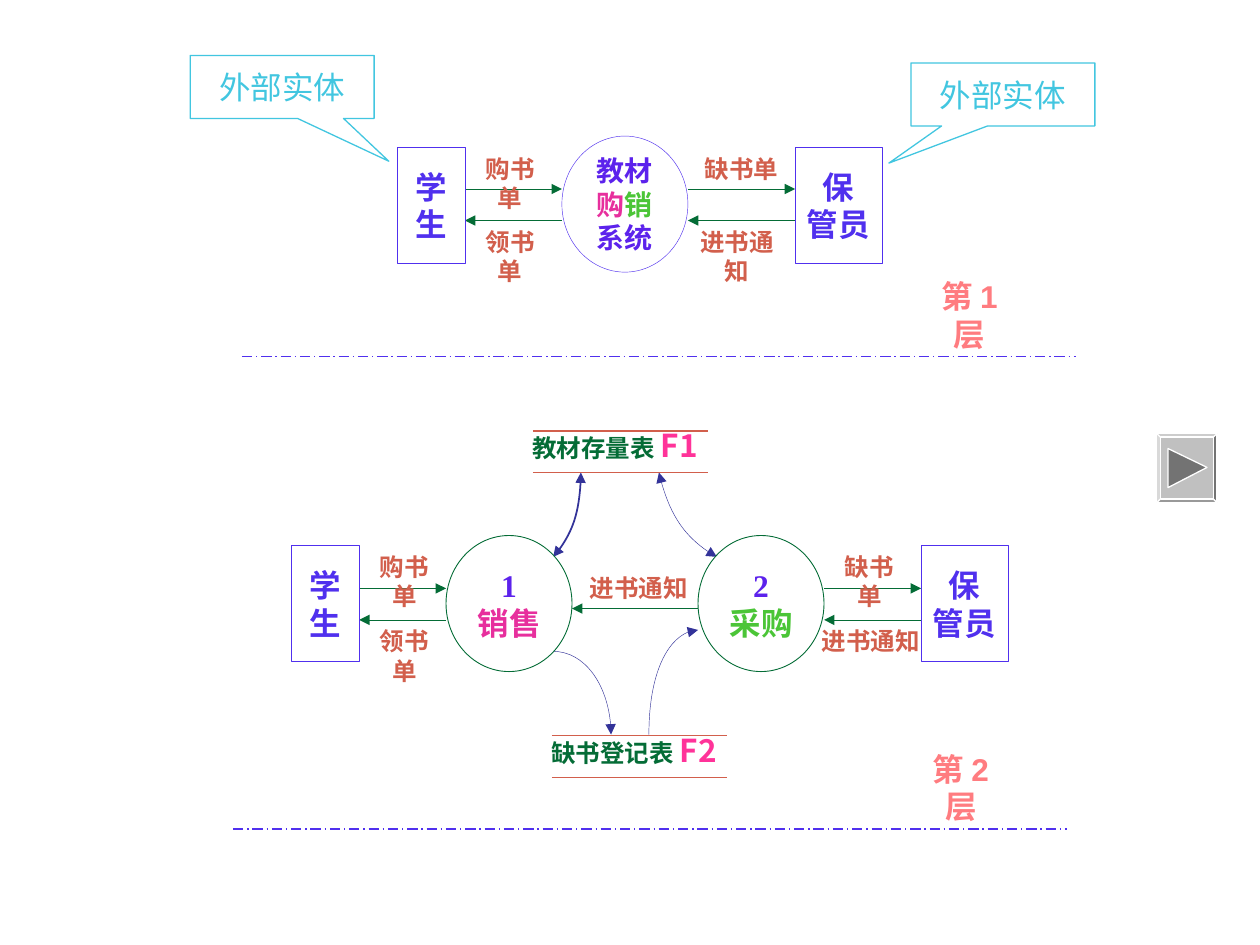
"""Draw the two levels of a textbook trading data-flow diagram."""
from dataclasses import dataclass

from lxml import etree
from pptx import Presentation
from pptx import util as u
from pptx.dml import color as clr
from pptx.enum import dml, shapes as sh, text as tx
from pptx.oxml import ns

SERIF, SANS, ARIAL = "Times New Roman", "Noto Sans CJK SC", "Arial"
WHITE, BLUE, VIOLET, GREEN = "FFFFFF", "5030EE", "5C22EC", "046C36"
PINK, LIME, RUST, NAVY = "E72F9D", "4BC537", "D25F4C", "333399"
CORAL, CYAN, ROSE = "FF7C80", "42C6E0", "FF3399"


@dataclass
class Run:
    text: str
    color: str
    size: float = 18
    font: str = SERIF
    bold: bool = True


@dataclass
class Node:
    kind: sh.MSO_SHAPE
    box: tuple
    line: str
    width: float
    rows: list


@dataclass
class Flow:
    start: float
    end: float
    y: float
    label: str
    left: float
    top: float
    width: float = 0.78
    font: str = SANS
    wrap: bool = False


@dataclass
class Curve:
    points: list
    width: float = 0.25
    head: bool = False
    tail: bool = False


@dataclass
class Store:
    left: float
    top: float
    name: str
    code: str


@dataclass
class Level:
    left: float
    y: float
    digit: str


def rgb(code: str) -> clr.RGBColor:
    return clr.RGBColor.from_string(code)


def paint(shape, fill, line: str, width: float) -> None:
    shape.shadow.inherit = False
    if fill:
        shape.fill.solid()
        shape.fill.fore_color.rgb = rgb(fill)
    else:
        shape.fill.background()
    shape.line.color.rgb = rgb(line)
    shape.line.width = u.Pt(width)


def tip(shape, head: bool = False, tail: bool = False) -> None:
    ln = shape.line._get_or_add_ln()
    for tag, used in (("a:headEnd", head), ("a:tailEnd", tail)):
        if used:
            etree.SubElement(ln, ns.qn(tag), type="triangle")


def write(frame, rows: list, wrap: bool = False) -> None:
    frame.word_wrap = wrap
    for i, row in enumerate(rows):
        para = frame.add_paragraph() if i else frame.paragraphs[0]
        para.alignment = tx.PP_ALIGN.CENTER
        for item in row:
            run = para.add_run()
            run.text = item.text
            run.font.size = u.Pt(item.size)
            run.font.bold = item.bold
            run.font.color.rgb = rgb(item.color)
            run.font.name = item.font
            etree.SubElement(run.font._element, ns.qn("a:ea"), typeface=SANS)


def note(slide, box: tuple, row: list, wrap: bool = False):
    frame = slide.shapes.add_textbox(*map(u.Inches, box)).text_frame
    write(frame, [row], wrap)
    return frame


def rule(slide, ends: tuple, color: str, width: float):
    line = slide.shapes.add_connector(sh.MSO_CONNECTOR.STRAIGHT, *map(u.Inches, ends))
    line.line.color.rgb = rgb(color)
    line.line.width = u.Pt(width)
    etree.SubElement(line._element.spPr, ns.qn("a:effectLst"))
    return line


def outline(slide, points: list, close: bool):
    first, *rest = [(u.Inches(x), u.Inches(y)) for x, y in points]
    pen = slide.shapes.build_freeform(*first)
    pen.add_line_segments(rest, close=close)
    return pen.convert_to_shape()


def draw_curve(slide, curve: Curve) -> None:
    shape = outline(slide, curve.points, False)
    paint(shape, None, NAVY, curve.width)
    tip(shape, curve.head, curve.tail)
    steps = list(shape._element.iter(ns.qn("a:lnTo")))
    bend = etree.SubElement(steps[0].getparent(), ns.qn("a:cubicBezTo"))
    for step in steps:
        bend.append(step[0])
        step.getparent().remove(step)


def draw_flow(slide, flow: Flow) -> None:
    line = rule(slide, (flow.start, flow.y, flow.end, flow.y), GREEN, 0.25)
    tip(line, tail=True)
    note(slide, (flow.left, flow.top, flow.width, 0.34),
         [Run(flow.label, RUST, 14, flow.font)], flow.wrap)


def draw_node(slide, node: Node) -> None:
    shape = slide.shapes.add_shape(node.kind, *map(u.Inches, node.box))
    paint(shape, WHITE, node.line, node.width)
    shape.text_frame.vertical_anchor = tx.MSO_ANCHOR.MIDDLE
    write(shape.text_frame, node.rows)


def draw_store(slide, store: Store) -> None:
    for y in (store.top, store.top + 0.33):
        rule(slide, (store.left, y, store.left + 1.39, y), RUST, 0.75)
    frame = note(slide, (store.left - 0.23, store.top - 0.09, 1.69, 0.64),
                 [Run(store.name + " ", GREEN, 14, SANS), Run(store.code, ROSE, 18, SANS)], True)
    frame.margin_left = u.Inches(0.17)


def draw_level(slide, level: Level) -> None:
    line = rule(slide, (level.left, level.y, level.left + 6.62, level.y), BLUE, 0.75)
    line.line.dash_style = dml.MSO_LINE.LONG_DASH_DOT
    frame = note(slide, (level.left + 5.39, level.y - 0.58, 0.77, 0.5),
                 [Run("第 ", CORAL, font=SANS), Run(level.digit + " ", CORAL, font=ARIAL),
                  Run("层", CORAL, font=SANS)])
    frame.vertical_anchor = tx.MSO_ANCHOR.MIDDLE


def draw_callout(slide, left: float, top: float, tail: tuple) -> None:
    shape = slide.shapes.add_shape(sh.MSO_SHAPE.RECTANGULAR_CALLOUT,
                                   *map(u.Inches, (left, top, 1.46, 0.5)))
    shape.adjustments[0], shape.adjustments[1] = tail
    paint(shape, None, CYAN, 0.75)
    shape.text_frame.vertical_anchor = tx.MSO_ANCHOR.MIDDLE
    write(shape.text_frame, [[Run("外部实体", CYAN, bold=False)]], True)


def draw_button(slide) -> None:
    base = slide.shapes.add_shape(sh.MSO_SHAPE.BEVEL, *map(u.Inches, (9.18, 3.44, 0.48, 0.55)))
    base.adjustments[0] = 0.06
    paint(base, "C0C0C0", WHITE, 0.75)
    paint(outline(slide, [(9.27, 3.56), (9.58, 3.71), (9.27, 3.87)], True), "737373", WHITE, 0.75)


def person(left: float, top: float, width: float, names: tuple) -> Node:
    return Node(sh.MSO_SHAPE.RECTANGLE, (left, top, width, 0.92), BLUE, 0.25,
                [[Run(name, BLUE)] for name in names])


def task(left: float, digit: str, name: str, color: str) -> Node:
    return Node(sh.MSO_SHAPE.OVAL, (left, 4.25, 1, 1.08), GREEN, 0.5,
                [[Run(digit, VIOLET)], [Run(name, color, font=SANS)]])


PUPIL, KEEPER = ("学", "生"), ("保", "管员")
CURVES = [
    Curve([(4.39, 5.17), (4.64, 5.17), (4.85, 5.47), (4.85, 5.83)], tail=True),
    Curve([(5.54, 5), (5.32, 5), (5.15, 5.37), (5.15, 5.83)], head=True),
    Curve([(4.39, 4.42), (4.53, 4.27), (4.61, 4.02), (4.61, 3.75)], 1, True, True),
    Curve([(5.69, 4.42), (5.48, 4.31), (5.3, 4.07), (5.23, 3.75)], 0.25, True, True),
]
FLOWS = [
    Flow(3.69, 4.46, 1.5, "购书单", 3.66, 1.17, font=SERIF),
    Flow(4.46, 3.69, 1.75, "领书单", 3.66, 1.75, font=SERIF),
    Flow(5.46, 6.31, 1.5, "缺书单", 5.46, 1.17, 0.85, SERIF),
    Flow(6.31, 5.46, 1.75, "进书通知", 5.39, 1.75, 0.92, SERIF, True),
    Flow(5.54, 4.54, 4.83, "进书通知", 4.58, 4.5, 0.98),
    Flow(2.85, 3.54, 4.67, "购书单", 2.82, 4.33),
    Flow(3.54, 2.85, 4.92, "领书单", 2.82, 4.92),
    Flow(6.54, 7.31, 4.67, "缺书单", 6.51, 4.33),
    Flow(7.31, 6.54, 4.92, "进书通知", 6.42, 4.92, 0.98),
]
NODES = [
    person(3.15, 1.17, 0.54, PUPIL), person(6.31, 1.17, 0.69, KEEPER),
    person(2.31, 4.33, 0.54, PUPIL), person(7.31, 4.33, 0.69, KEEPER),
    Node(sh.MSO_SHAPE.OVAL, (4.46, 1.08, 1, 1.08), BLUE, 0.25,
         [[Run("教材", VIOLET, 16)], [Run("购", PINK, 16), Run("销", LIME, 16)],
          [Run("系统", VIOLET, 16)]]),
    task(3.54, "1", "销售", PINK), task(5.54, "2", "采购", LIME),
]
STORES = [Store(4.23, 3.42, "教材存量表", "F1"), Store(4.38, 5.84, "缺书登记表", "F2")]
LEVELS = [Level(1.92, 2.83, "1"), Level(1.85, 6.58, "2")]


def main() -> None:
    deck = Presentation()
    deck.slide_width, deck.slide_height = u.Inches(10), u.Inches(7.5)
    slide = deck.slides.add_slide(deck.slide_layouts[6])
    for draw, items in ((draw_curve, CURVES), (draw_flow, FLOWS), (draw_node, NODES),
                        (draw_level, LEVELS), (draw_store, STORES)):
        for item in items:
            draw(slide, item)
    draw_callout(slide, 1.51, 0.44, (0.58, 1.18))
    draw_callout(slide, 7.23, 0.5, (-0.62, 1.09))
    draw_button(slide)
    deck.save("out.pptx")


if __name__ == "__main__":
    main()
